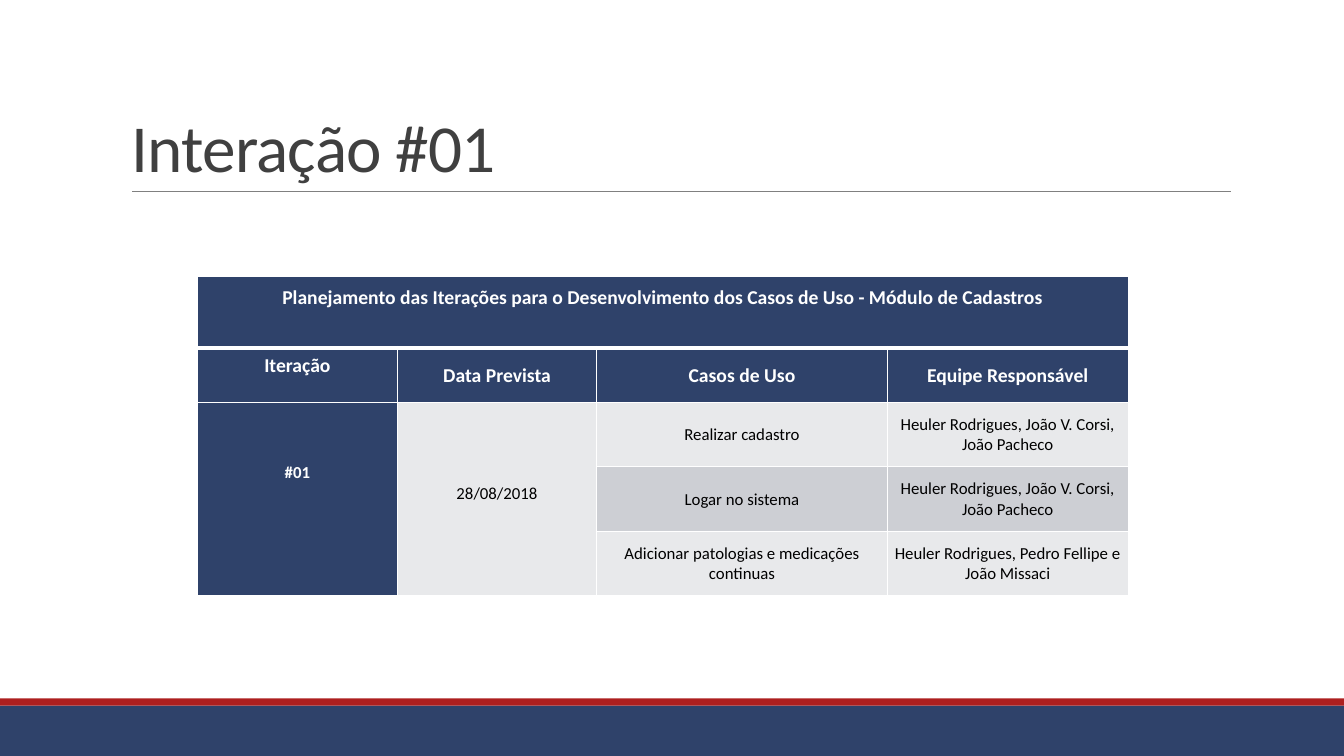
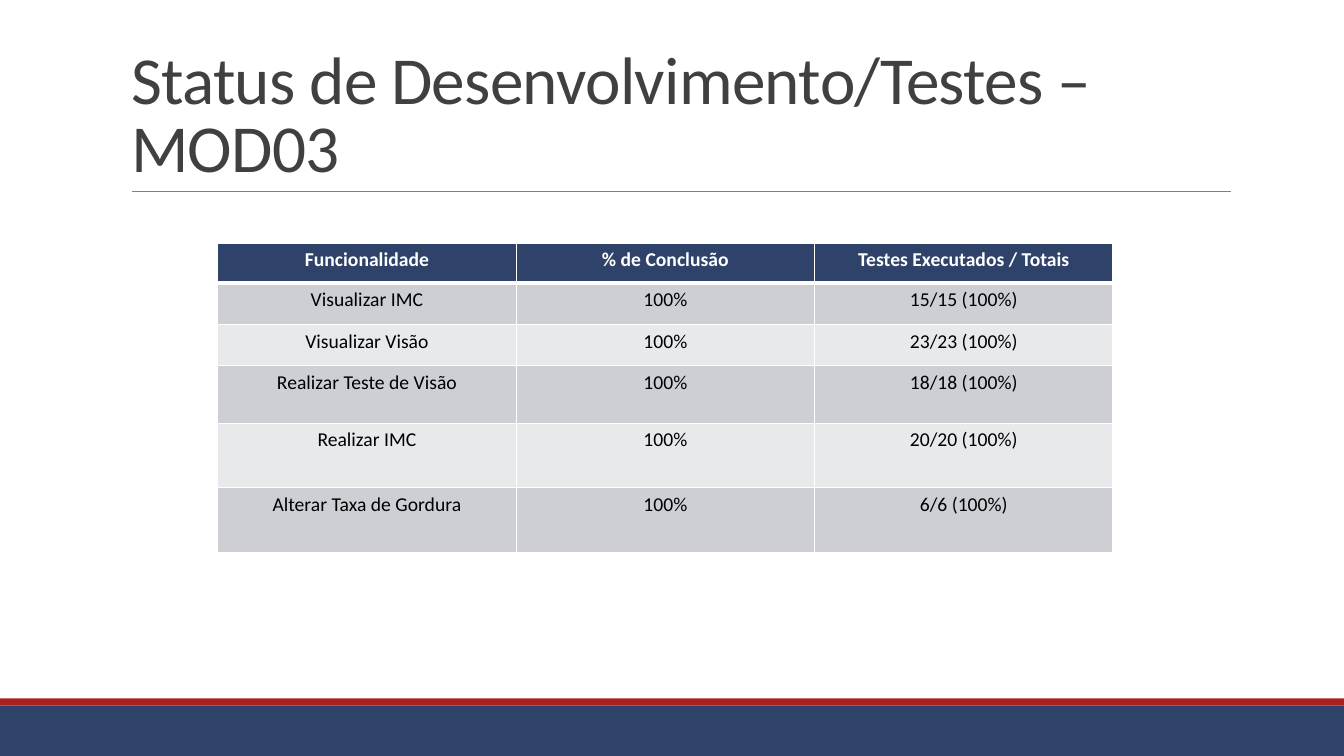
from dataclasses import dataclass

import pptx
import pptx.dml.color
import pptx.enum.shapes
import pptx.enum.text
import pptx.oxml
import pptx.oxml.ns
import pptx.util
from pptx.util import Inches, Pt

RGBColor = pptx.dml.color.RGBColor
Anchor = pptx.enum.text.MSO_ANCHOR
Align = pptx.enum.text.PP_ALIGN

NAVY = RGBColor(0x2F, 0x42, 0x6A)
RED = RGBColor(0xAD, 0x1F, 0x1F)
GRAY = RGBColor(0x80, 0x80, 0x80)
DARK = RGBColor(0x40, 0x40, 0x40)
LIGHT = RGBColor(0xE8, 0xE9, 0xEB)
MID = RGBColor(0xCD, 0xCF, 0xD4)
WHITE = RGBColor(0xFF, 0xFF, 0xFF)
BLACK = RGBColor(0x00, 0x00, 0x00)
FONT = "Calibri"
TITLE_ONLY = 5
WIDTH, HEIGHT = 13.33, 7.5


@dataclass(frozen=True)
class Band:
    top: float
    height: float
    color: RGBColor


@dataclass(frozen=True)
class Cell:
    text: str
    fill: RGBColor
    size: int = 14
    anchor: Anchor = Anchor.TOP
    top: float = 0.05
    side: float = 0.1
    rows: int = 1
    cols: int = 1


@dataclass(frozen=True)
class Grid:
    left: float
    top: float
    cols: list[float]
    rows: list[float]
    cells: dict[tuple[int, int], Cell]


BANDS = [Band(7, 0.5, NAVY), Band(6.93, 0.07, RED)]


def add_base(prs, title: str):
    """Add a slide with its title, rule and footer bands."""
    s = prs.slides.add_slide(prs.slide_layouts[TITLE_ONLY])
    for band in BANDS:
        sp = s.shapes.add_shape(pptx.enum.shapes.MSO_SHAPE.RECTANGLE, 0, Inches(band.top),
                                Inches(WIDTH), Inches(band.height))
        sp.shadow.inherit = False
        sp.fill.solid()
        sp.fill.fore_color.rgb = band.color
        sp.line.fill.background()

    # Rule under the title
    rule = s.shapes.add_connector(pptx.enum.shapes.MSO_CONNECTOR.STRAIGHT,
                                  Inches(1.31), Inches(1.9), Inches(12.21), Inches(1.9))
    rule.line.color.rgb = GRAY
    rule.line.width = Pt(0.5)
    rule._element.spPr.append(pptx.oxml.parse_xml(
        f"<a:effectLst {pptx.oxml.ns.nsdecls('a')}/>"))

    # Title
    sp = s.shapes.title
    sp.left, sp.top, sp.width, sp.height = (Inches(v) for v in (1.2, 0.31, 11, 1.59))
    tf = sp.text_frame
    tf.text = title
    tf.word_wrap = True
    tf.auto_size = pptx.enum.text.MSO_AUTO_SIZE.NONE
    tf.vertical_anchor = Anchor.BOTTOM
    p = tf.paragraphs[0]
    p.alignment = Align.LEFT
    p.line_spacing = 0.85
    r = p.runs[0]
    r.font.name, r.font.size = FONT, Pt(48)
    r.font.color.rgb = DARK
    r._r.get_or_add_rPr().set("spc", "-50")
    return s


def set_borders(cell, top: float, bottom: float) -> None:
    """Give a cell white borders, with widths in points."""
    tcPr = cell._tc.get_or_add_tcPr()
    for side, width in (("L", 1), ("R", 1), ("T", top), ("B", bottom)):
        tcPr.append(pptx.oxml.parse_xml(
            f'<a:ln{side} {pptx.oxml.ns.nsdecls("a")} w="{Pt(width)}"><a:solidFill>'
            f'<a:srgbClr val="{WHITE}"/></a:solidFill></a:ln{side}>'))


def fill_cell(cell, spec: Cell) -> None:
    cell.fill.solid()
    cell.fill.fore_color.rgb = spec.fill
    cell.vertical_anchor = spec.anchor
    cell.margin_left = cell.margin_right = Inches(spec.side)
    cell.margin_top, cell.margin_bottom = Inches(spec.top), 0
    cell.text_frame.text = spec.text
    p = cell.text_frame.paragraphs[0]
    p.alignment = Align.CENTER
    on_navy = spec.fill == NAVY
    for r in p.runs:
        r.font.name, r.font.size, r.font.bold = FONT, Pt(spec.size), on_navy
        r.font.color.rgb = WHITE if on_navy else BLACK


def add_grid(s, grid: Grid) -> None:
    table = s.shapes.add_table(len(grid.rows), len(grid.cols), Inches(grid.left), Inches(grid.top),
                               Inches(sum(grid.cols)), Inches(sum(grid.rows))).table
    for column, width in zip(table.columns, grid.cols):
        column.width = Inches(width)
    for row, height in zip(table.rows, grid.rows):
        row.height = Inches(height)
    # The first row is set off by a thicker border
    for i in range(len(grid.rows)):
        for j in range(len(grid.cols)):
            set_borders(table.cell(i, j), 3 if i == 1 else 1, 3 if i == 0 else 1)
    for (i, j), spec in grid.cells.items():
        cell = table.cell(i, j)
        if spec.rows > 1 or spec.cols > 1:
            cell.merge(table.cell(i + spec.rows - 1, j + spec.cols - 1))
        fill_cell(cell, spec)


def plan_grid() -> Grid:
    cells = {
        (0, 0): Cell("Planejamento das Iterações para o Desenvolvimento dos Casos de Uso"
                     " - Módulo de Cadastros", NAVY, top=0.1, side=0.07, cols=4),
        (1, 0): Cell("Iteração", NAVY, top=0.06, side=0.01),
        (2, 0): Cell("#01", NAVY, 12, top=0.6, side=0.07, rows=3),
        (2, 1): Cell("28/08/2018", LIGHT, 12, top=0.81, side=0.07, rows=3),
    }
    for j, text in enumerate(["Data Prevista", "Casos de Uso", "Equipe Responsável"], start=1):
        cells[1, j] = Cell(text, NAVY, anchor=Anchor.MIDDLE, top=0.01, side=0.01)
    use_cases = [
        ("Realizar cadastro", "Heuler Rodrigues, João V. Corsi, João Pacheco"),
        ("Logar no sistema", "Heuler Rodrigues, João V. Corsi, João Pacheco"),
        ("Adicionar patologias e medicações continuas",
         "Heuler Rodrigues, Pedro Fellipe e João Missaci"),
    ]
    for i, texts in enumerate(use_cases, start=2):
        for j, text in enumerate(texts, start=2):
            cells[i, j] = Cell(text, MID if i % 2 else LIGHT, 12, Anchor.MIDDLE, 0.01, 0.01)
    return Grid(1.96, 2.74, [1.98, 1.98, 2.88, 2.39], [0.71, 0.54] + [0.64] * 3, cells)


def status_grid() -> Grid:
    rows = [
        ("Funcionalidade", "% de Conclusão", "Testes Executados / Totais"),
        ("Visualizar IMC", "100%", "15/15 (100%)"),
        ("Visualizar Visão", "100%", "23/23 (100%)"),
        ("Realizar Teste de Visão", "100%", "18/18 (100%)"),
        ("Realizar IMC", "100%", "20/20 (100%)"),
        ("Alterar Taxa de Gordura", "100%", "6/6 (100%)"),
    ]
    cells = {}
    for i, texts in enumerate(rows):
        fill = NAVY if i == 0 else MID if i % 2 else LIGHT
        for j, text in enumerate(texts):
            cells[i, j] = Cell(text, fill)
    return Grid(2.16, 2.41, [2.96] * 3, [0.4, 0.41, 0.41, 0.57, 0.64, 0.64], cells)


def main() -> None:
    prs = pptx.Presentation()
    prs.slide_width, prs.slide_height = Inches(WIDTH), Inches(HEIGHT)
    add_grid(add_base(prs, "Interação #01"), plan_grid())
    add_grid(add_base(prs, "Status de Desenvolvimento/Testes – MOD03"), status_grid())
    prs.save("out.pptx")


if __name__ == "__main__":
    main()
